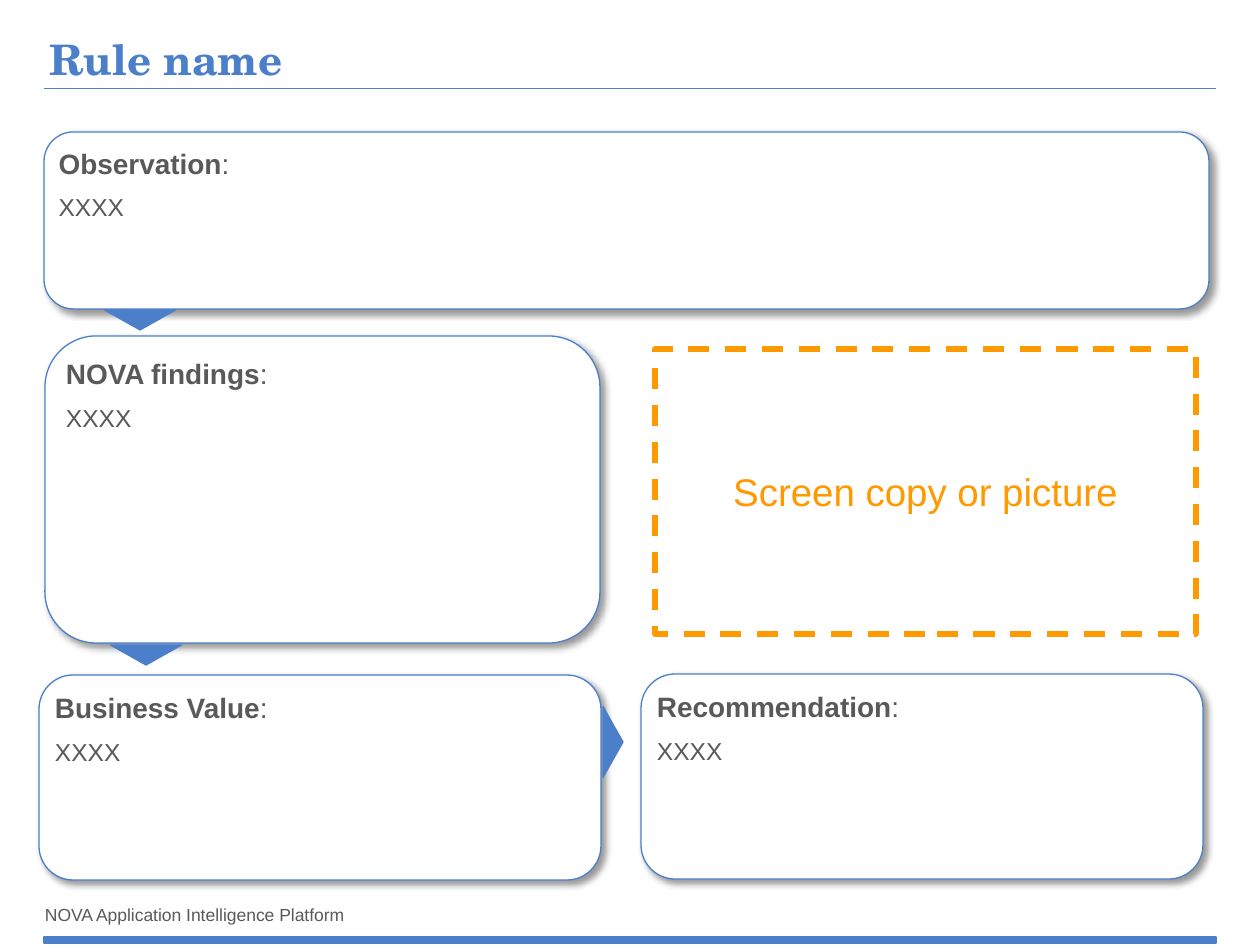
import lxml.etree
import pptx
import pptx.dml.color
import pptx.enum.dml
import pptx.enum.shapes
import pptx.enum.text
import pptx.oxml.ns
import pptx.util

PX = 914400 / 126
COLORS = {"blue": "4B7FC9", "gray": "595959", "orange": "FF9900", "white": "FFFFFF", "black": "000000"}
SHAPE = pptx.enum.shapes.MSO_SHAPE
ANCHOR = pptx.enum.text.MSO_ANCHOR
ALIGN = pptx.enum.text.PP_ALIGN


def emu(*px):
    """Turn pixel lengths into EMU."""
    return [pptx.util.Emu(round(v * PX)) for v in px]


def rgb(name):
    """Look up a named colour."""
    return pptx.dml.color.RGBColor.from_string(COLORS[name])


def add_text(tf, text, size=14, color="gray", bold=False, font="Arial", p=None,
             align=ALIGN.LEFT, before=0, after=0, spacing=None):
    """Add a run to the given paragraph, or to the frame's next one."""
    if p is None:
        p = tf.add_paragraph() if tf.text else tf.paragraphs[0]
        p.alignment, p.line_spacing = align, spacing
        p.space_before, p.space_after = pptx.util.Pt(before), pptx.util.Pt(after)
    r = p.add_run()
    r.text = text
    r.font.size, r.font.bold, r.font.name = pptx.util.Pt(size), bold, font
    r.font.color.rgb = rgb(color)
    return p


def set_frame(tf, anchor, margins=(6, 6, 6, 6), wrap=True):
    """Set the anchor, margins and wrapping of a text frame."""
    tf.word_wrap, tf.vertical_anchor = wrap, anchor
    tf.margin_left, tf.margin_top, tf.margin_right, tf.margin_bottom = emu(*margins)
    return tf


def add_block(s, kind, box, fill="blue", line="blue", width=0.75):
    """Add a filled and outlined preset shape."""
    sp = s.shapes.add_shape(kind, *emu(*box))
    sp.shadow.inherit = False
    sp.fill.solid()
    sp.fill.fore_color.rgb = rgb(fill)
    sp.line.color.rgb = rgb(line)
    sp.line.width = pptx.util.Pt(width)
    return sp


def add_shadow(sp):
    """Give a shape a soft shadow to the lower right."""
    qn = pptx.oxml.ns.qn
    effects = sp.element.spPr.find(qn("a:effectLst"))
    shadow = lxml.etree.SubElement(effects, qn("a:outerShdw"), blurRad="50800", dist="38100",
                                   dir="2700000", algn="tl", rotWithShape="0")
    color = lxml.etree.SubElement(shadow, qn("a:srgbClr"), val=COLORS["black"])
    lxml.etree.SubElement(color, qn("a:alpha"), val="40000")


def add_header(s, x, y, w, h, title):
    """Place the title above its thin rule."""
    tb = s.shapes.add_textbox(*emu(x, y, w, h - 3))
    tf = set_frame(tb.text_frame, ANCHOR.BOTTOM, (6, 6, 6, 0))
    add_text(tf, title, size=24, color="blue", bold=True, font="TeX Gyre Schola", spacing=0.9)
    rule = s.shapes.add_connector(pptx.enum.shapes.MSO_CONNECTOR.STRAIGHT, *emu(x, y + h, x + w, y + h))
    rule.line.color.rgb = rgb("blue")
    rule.line.width = pptx.util.Pt(0.5)
    lxml.etree.SubElement(rule.element.spPr, pptx.oxml.ns.qn("a:effectLst"))


def add_footer(s, x, y, w, h, text):
    """Place the footer text above its bar."""
    tb = s.shapes.add_textbox(*emu(x + 1, y, 307, 32))
    add_text(set_frame(tb.text_frame, ANCHOR.MIDDLE, (0, 0, 0, 0), wrap=False), text, size=10)
    add_block(s, SHAPE.RECTANGLE, (x, y + h - 6, w, 6))


def add_panel(s, x, y, w, h, heading, body):
    """Place a rounded panel with a bold heading and body text."""
    sp = add_block(s, SHAPE.ROUNDED_RECTANGLE, (x, y, w, h), fill="white")
    add_shadow(sp)
    tf = set_frame(sp.text_frame, ANCHOR.TOP)
    p = add_text(tf, heading, size=16, bold=True, before=3, after=4)
    add_text(tf, ":", size=16, p=p)
    add_text(tf, body, before=3, after=4)


def add_pointer(s, cx, cy, rotation):
    """Place a flat triangle centred on a point."""
    w, h = 71, 20
    sp = add_block(s, SHAPE.ISOSCELES_TRIANGLE, (cx - w / 2, cy - h / 2, w, h))
    sp.rotation = rotation


def add_screen_area(s, x, y, w, h, text):
    """Place the dashed frame reserved for a screen copy."""
    sp = add_block(s, SHAPE.RECTANGLE, (x, y, w, h), fill="white", line="orange", width=3)
    sp.line.dash_style = pptx.enum.dml.MSO_LINE.DASH
    tf = set_frame(sp.text_frame, ANCHOR.MIDDLE)
    add_text(tf, text, size=22, color="orange", align=ALIGN.CENTER, before=3, after=4)


def main():
    """Build and save the slide."""
    prs = pptx.Presentation()
    prs.slide_width, prs.slide_height = emu(1260, 945)
    s = prs.slides.add_slide(prs.slide_layouts[6])
    add_footer(s, 44, 898, 1172, 45, "NOVA Application Intelligence Platform")
    add_header(s, 44, 33, 1172, 55, "Rule name")
    panels = [
        (44, 132, 1165, 177, "Observation"),
        (45, 336, 555, 307, "NOVA findings"),
        (39, 675, 562, 205, "Business Value"),
        (641, 674, 562, 205, "Recommendation"),
    ]
    for *box, heading in panels:
        add_panel(s, *box, heading, "XXXX")
    for cx, cy, rotation in [(140, 320, 180), (146, 655, 180), (613, 742, 90)]:
        add_pointer(s, cx, cy, rotation)
    add_screen_area(s, 655, 349, 541, 285, "Screen copy or picture")
    prs.save("out.pptx")


if __name__ == "__main__":
    main()
